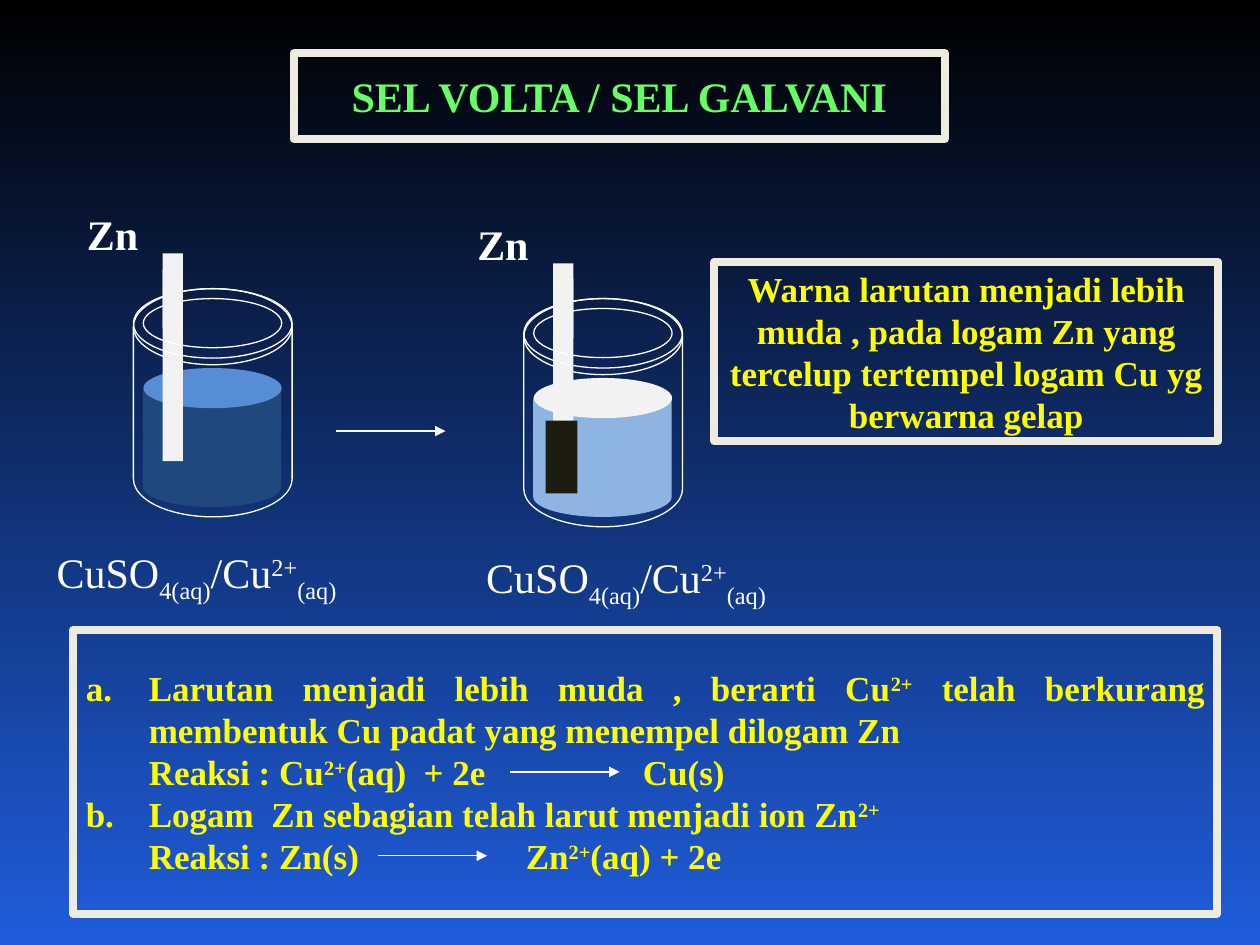
"""Build the slide on the voltaic (galvanic) cell."""
from pptx import Presentation
from pptx.dml.color import RGBColor
from pptx.enum.shapes import MSO_CONNECTOR, MSO_SHAPE as Preset
from pptx.enum.text import MSO_ANCHOR, MSO_AUTO_SIZE, PP_ALIGN as Align
from pptx.oxml.ns import qn
from pptx.util import Cm, Pt
from lxml.etree import SubElement

BLACK = RGBColor(0x00, 0x00, 0x00)
BLUE = RGBColor(0x1F, 0x5D, 0xDC)
WHITE = RGBColor(0xFF, 0xFF, 0xFF)
CREAM = RGBColor(0xEE, 0xEC, 0xE1)
GREEN = RGBColor(0x66, 0xFF, 0x66)
YELLOW = RGBColor(0xFF, 0xFF, 0x00)
ZINC = RGBColor(0xF2, 0xF2, 0xF2)
COPPER = RGBColor(0x1E, 0x1C, 0x11)
DEEP_BLUE = RGBColor(0x1F, 0x49, 0x7D)
MID_BLUE = RGBColor(0x55, 0x8E, 0xD5)
PALE_BLUE = RGBColor(0x8E, 0xB4, 0xE3)

SUB, SUPER = -25000, 30000
FORMULA = [("CuSO", 0), ("4(aq)", SUB), ("/Cu", 0), ("2+", SUPER), ("(aq) ", SUB)]


class CellSlide:
    """Hold the style and the slide, and add each kind of element."""

    font_name = "Times New Roman"
    thin, thick = Pt(0.75), Pt(4.5)

    def __init__(self, presentation):
        self.slide = presentation.slides.add_slide(presentation.slide_layouts[5])
        fill = self.slide.background.fill
        fill.gradient()
        fill.gradient_angle = 270
        for stop, color in zip(fill.gradient_stops, (BLACK, BLUE)):
            stop.color.rgb = color

    def place(self, shape, left, top, width, height):
        shape.left, shape.top = Cm(left), Cm(top)
        shape.width, shape.height = Cm(width), Cm(height)

    def frame(self, shape):
        shape.fill.background()
        shape.line.color.rgb = CREAM
        shape.line.width = self.thick

    def prepare(self, shape):
        text_frame = shape.text_frame
        text_frame.word_wrap = True
        text_frame.auto_size = MSO_AUTO_SIZE.NONE
        text_frame.vertical_anchor = MSO_ANCHOR.MIDDLE
        return text_frame

    def set_text(self, paragraph, runs, size, color, bold=True, align=Align.CENTER):
        for text, baseline in runs:
            run = paragraph.add_run()
            run.text = text
            if baseline:
                run._r.get_or_add_rPr().set("baseline", str(baseline))
        paragraph.alignment = align
        font = paragraph.font
        font.name, font.size, font.bold = self.font_name, Pt(size), bold
        font.color.rgb = color

    def title(self, text, *box):
        shape = self.slide.shapes.title
        self.place(shape, *box)
        self.frame(shape)
        self.set_text(self.prepare(shape).paragraphs[0], [(text, 0)], 24, GREEN)

    def label(self, runs, *box, bold=True):
        shape = self.slide.shapes.add_textbox(*map(Cm, box))
        self.set_text(self.prepare(shape).paragraphs[0], runs, 24, WHITE, bold)

    def shape(self, preset, *box, fill=None, outline=None):
        shape = self.slide.shapes.add_shape(preset, *map(Cm, box))
        shape.shadow.inherit = False
        if fill is None:
            shape.fill.background()
        else:
            shape.fill.solid()
            shape.fill.fore_color.rgb = fill
        if outline is None:
            shape.line.fill.background()
        else:
            shape.line.color.rgb = outline
            shape.line.width = self.thin
        return shape

    def panel(self, *box):
        shape = self.shape(Preset.RECTANGLE, *box)
        self.frame(shape)
        return self.prepare(shape)

    def note(self, text, *box):
        self.set_text(self.panel(*box).paragraphs[0], [(text, 0)], 20, YELLOW)

    def number(self, paragraph, start):
        properties = paragraph._p.get_or_add_pPr()
        properties.set("marL", str(Cm(1.27)))
        properties.set("indent", str(Cm(-1.27)))
        color = SubElement(properties, qn("a:buClr"))
        SubElement(color, qn("a:srgbClr"), val=str(YELLOW))
        SubElement(properties, qn("a:buAutoNum"), type="alphaLcPeriod", startAt=str(start))

    def tabs(self, paragraph, stops):
        tab_list = SubElement(paragraph._p.get_or_add_pPr(), qn("a:tabLst"))
        for stop in stops:
            SubElement(tab_list, qn("a:tab"), pos=str(Cm(stop)), algn="l")

    def conclusions(self, items, *box):
        text_frame = self.panel(*box)
        paragraph = text_frame.paragraphs[0]
        for start, (statement, reaction, product_stop) in enumerate(items, 1):
            if start > 1:
                paragraph = text_frame.add_paragraph()
            self.number(paragraph, start)
            self.set_text(paragraph, statement, 20, YELLOW, align=Align.JUSTIFY)
            paragraph = text_frame.add_paragraph()
            self.tabs(paragraph, (1.27, product_stop))
            self.set_text(paragraph, reaction, 20, YELLOW, align=Align.LEFT)

    def beaker(self, left, top, liquid, surface):
        def part(preset, x, y, width, height, **style):
            return self.shape(preset, left + x, top + y, width, height, **style)

        part(Preset.FLOWCHART_MAGNETIC_DISK, 0, 0, 3.2, 4.6, outline=WHITE)
        body = part(Preset.FLOWCHART_STORED_DATA, 0.38, 1.8, 2.41, 2.79, fill=liquid)
        body.rotation = 270
        part(Preset.OVAL, 0.2, 1.6, 2.79, 0.81, fill=surface)
        part(Preset.RECTANGLE, 0.59, -0.71, 0.41, 4.19, fill=ZINC)
        self.label([("Zn", 0)], left - 1.22, top - 1.8, 1.6, 1.4)
        part(Preset.OVAL, 0, 0, 3.2, 1.4, outline=WHITE)
        part(Preset.OVAL, 0.2, 0.2, 2.79, 0.99, outline=WHITE)
        part(Preset.RECTANGLE, 0.59, -0.39, 0.41, 1.19, fill=ZINC)

    def arrow(self, left, top, length=2.2):
        connector = self.slide.shapes.add_connector(
            MSO_CONNECTOR.STRAIGHT, Cm(left), Cm(top), Cm(left + length), Cm(top))
        connector.line.color.rgb = WHITE
        connector.line.width = self.thin
        SubElement(connector.line._get_or_add_ln(), qn("a:tailEnd"), type="triangle")
        SubElement(connector._element.spPr, qn("a:effectLst"))


def main():
    presentation = Presentation()
    presentation.slide_width, presentation.slide_height = Cm(25.4), Cm(19.05)
    cell = CellSlide(presentation)
    cell.title("SEL VOLTA / SEL GALVANI", 5.92, 1.07, 13.13, 1.73)

    cell.beaker(2.69, 5.82, DEEP_BLUE, MID_BLUE)
    cell.label(FORMULA, 0.43, 10.9, 7.19, 1.4, bold=False)
    cell.arrow(6.78, 8.69)
    cell.beaker(10.56, 6.02, PALE_BLUE, ZINC)
    cell.shape(Preset.RECTANGLE, 11, 8.48, 0.64, 1.47, fill=COPPER)
    cell.label(FORMULA, 9.09, 11, 7.19, 1.4, bold=False)

    cell.note("Warna larutan menjadi lebih muda , pada logam Zn yang tercelup "
              "tertempel logam Cu yg berwarna gelap", 14.4, 5.28, 10.16, 3.61)
    cell.conclusions([
        ([("Larutan menjadi lebih muda , berarti Cu", 0), ("2+", SUPER),
          (" telah berkurang membentuk Cu padat yang menempel dilogam Zn", 0)],
         [("\tReaksi : Cu", 0), ("2+", SUPER), ("(aq)  + 2e\tCu(s)", 0)], 11.23),
        ([("Logam  Zn sebagian telah larut menjadi ion Zn", 0), ("2+", SUPER)],
         [("\tReaksi : Zn(s)\tZn", 0), ("2+", SUPER), ("(aq) + 2e", 0)], 8.87),
    ], 1.48, 12.7, 23.06, 5.72)
    cell.arrow(10.29, 15.56)
    cell.arrow(7.62, 17.25)
    presentation.save("out.pptx")


if __name__ == "__main__":
    main()
